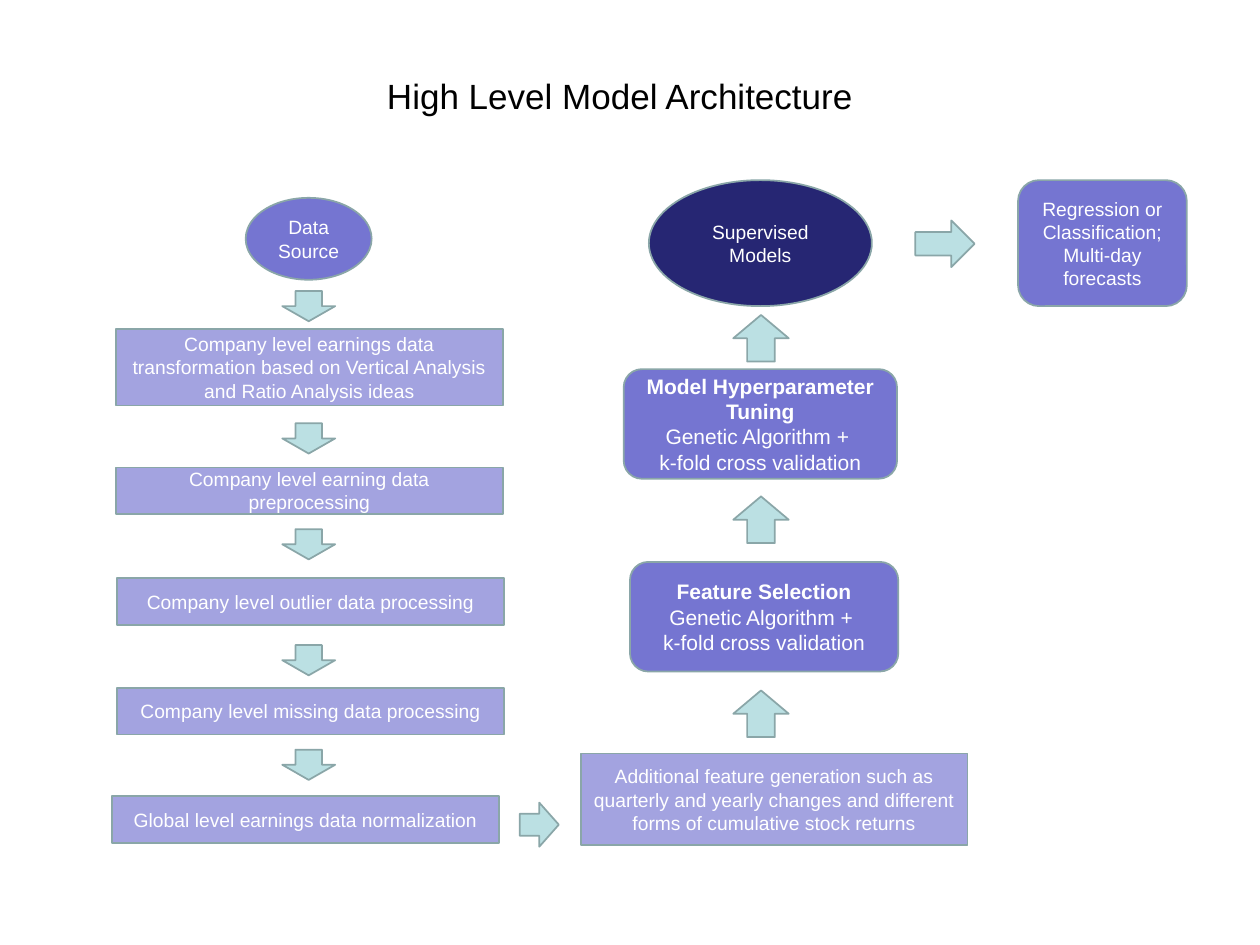
from pptx import Presentation
from pptx.dml.color import RGBColor
from pptx.enum.shapes import MSO_SHAPE
from pptx.enum.text import MSO_ANCHOR, PP_ALIGN
from pptx.util import Inches, Pt

BLACK = RGBColor(0x00, 0x00, 0x00)
WHITE = RGBColor(0xFF, 0xFF, 0xFF)
NAVY = RGBColor(0x26, 0x26, 0x73)
VIOLET = RGBColor(0x75, 0x75, 0xD1)
LAVENDER = RGBColor(0xA3, 0xA3, 0xE0)
AQUA = RGBColor(0xBB, 0xE0, 0xE3)
OUTLINE = RGBColor(0x8A, 0xA6, 0xA8)

STEP_WIDTH = 3.07
LEFT_AXIS = 2.45
RIGHT_AXIS = 6.04
STEPS = [
    (0.92, 2.61, 0.61, "Company level earnings data transformation "
                       "based on Vertical Analysis and Ratio Analysis ideas"),
    (0.92, 3.71, 0.37, "Company level earning data preprocessing"),
    (0.93, 4.59, 0.37, "Company level outlier data processing"),
    (0.93, 5.46, 0.37, "Company level missing data processing"),
    (0.89, 6.32, 0.37, "Global level earnings data normalization"),
    (4.61, 5.98, 0.73, "Additional feature generation such as quarterly and yearly "
                       "changes and different forms of cumulative stock returns"),
]
SEARCH_METHOD = ["Genetic Algorithm + ", "k-fold cross validation"]


class FlowSlide:
    font = "Arial"

    def __init__(self, slide):
        self.slide = slide

    def fill_text(self, frame, lines, size, color, bold_first=False):
        frame.word_wrap = True
        frame.vertical_anchor = MSO_ANCHOR.MIDDLE
        for index, line in enumerate(lines):
            para = frame.paragraphs[0] if index == 0 else frame.add_paragraph()
            para.text = line
            para.alignment = PP_ALIGN.CENTER
            para.font.name = self.font
            para.font.size = Pt(size)
            para.font.bold = bold_first and index == 0
            para.font.color.rgb = color

    def title(self, text, left, top, width, height):
        title = self.slide.shapes.title
        title.left, title.top = Inches(left), Inches(top)
        title.width, title.height = Inches(width), Inches(height)
        self.fill_text(title.text_frame, [text], 20, BLACK)

    def shape(self, kind, left, top, width, height, fill):
        shape = self.slide.shapes.add_shape(
            kind, Inches(left), Inches(top), Inches(width), Inches(height))
        shape.shadow.inherit = False
        shape.fill.solid()
        shape.fill.fore_color.rgb = fill
        shape.line.color.rgb = OUTLINE
        shape.line.width = Pt(1)
        return shape

    def box(self, kind, left, top, width, height, fill, lines, size=11, bold_first=False):
        box = self.shape(kind, left, top, width, height, fill)
        self.fill_text(box.text_frame, lines, size, WHITE, bold_first)

    def arrow(self, kind, center, top, width, height):
        self.shape(kind, center - width / 2, top, width, height, AQUA)


def main():
    deck = Presentation()
    deck.slide_width, deck.slide_height = Inches(10), Inches(7.5)
    page = FlowSlide(deck.slides.add_slide(deck.slide_layouts[5]))

    page.title("High Level Model Architecture", 0.67, 0.52, 8.5, 0.47)

    page.box(MSO_SHAPE.OVAL, 1.95, 1.57, 1, 0.65, VIOLET, ["Data Source"])
    for left, top, height, text in STEPS:
        page.box(MSO_SHAPE.RECTANGLE, left, top, STEP_WIDTH, height, LAVENDER, [text])
    page.box(MSO_SHAPE.ROUNDED_RECTANGLE, 5, 4.46, 2.13, 0.87, VIOLET,
             ["Feature Selection", *SEARCH_METHOD], 12, True)
    page.box(MSO_SHAPE.ROUNDED_RECTANGLE, 4.95, 2.93, 2.17, 0.87, VIOLET,
             ["Model Hyperparameter Tuning", *SEARCH_METHOD], 12, True)
    page.box(MSO_SHAPE.OVAL, 5.15, 1.43, 1.77, 1, NAVY, ["Supervised Models"])
    page.box(MSO_SHAPE.ROUNDED_RECTANGLE, 8.08, 1.43, 1.34, 1, VIOLET,
             ["Regression or", "Classification;", "Multi-day forecasts"])

    for top in (2.31, 3.36, 4.2, 5.12, 5.95):
        page.arrow(MSO_SHAPE.DOWN_ARROW, LEFT_AXIS, top, 0.42, 0.24)
    for top in (5.48, 3.94, 2.5):
        page.arrow(MSO_SHAPE.UP_ARROW, RIGHT_AXIS, top, 0.44, 0.37)
    page.arrow(MSO_SHAPE.RIGHT_ARROW, 4.28, 6.37, 0.31, 0.35)
    page.arrow(MSO_SHAPE.RIGHT_ARROW, 7.5, 1.75, 0.47, 0.37)

    deck.save("out.pptx")


if __name__ == "__main__":
    main()
